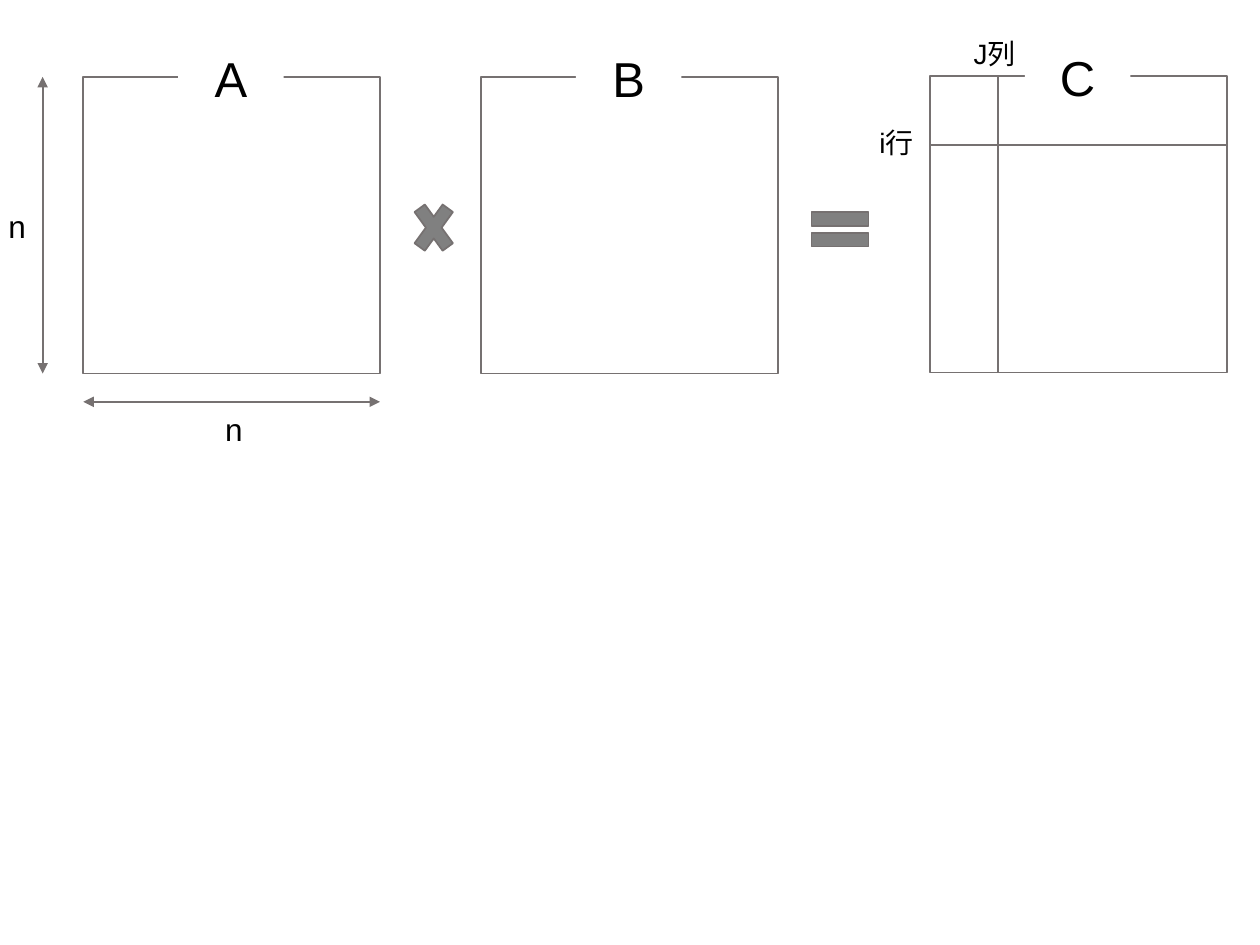
from dataclasses import dataclass

from lxml.etree import SubElement
from pptx import Presentation
from pptx.dml.color import RGBColor
from pptx.enum.shapes import MSO_CONNECTOR, MSO_SHAPE
from pptx.enum.text import MSO_ANCHOR, MSO_AUTO_SIZE, PP_ALIGN
from pptx.oxml.ns import qn
from pptx.util import Cm, Pt

COLOURS = {"outline": "767171", "symbol": "808080", "paper": "FFFFFF", "text": "000000"}
FRAME = {
    "word_wrap": True,
    "auto_size": MSO_AUTO_SIZE.SHAPE_TO_FIT_TEXT,
}
SIDE = 5.98


@dataclass
class Matrix:
    name: str
    left: float
    top: float


@dataclass
class Label:
    text: str
    left: float
    top: float
    height: float
    size: int


@dataclass
class Rule:
    start: tuple[float, float]
    end: tuple[float, float]
    arrows: bool = False


@dataclass
class Operator:
    kind: MSO_SHAPE
    left: float
    top: float
    width: float
    height: float


MATRICES = [Matrix("A", 1.68, 1.55), Matrix("B", 9.7, 1.55), Matrix("C", 18.75, 1.53)]
RULES = [
    Rule((0.86, 1.55), (0.86, 1.55 + SIDE), True),
    Rule((1.68 + SIDE, 8.1), (1.68, 8.1), True),
    Rule((20.12, 1.53), (20.12, 1.53 + SIDE)),
    Rule((18.75 + SIDE, 2.92), (18.75, 2.92)),
]
LABELS = [
    Label("n", 4.29, 8.15, 1.02, 18),
    Label("n", -0.08, 4.04, 1.02, 18),
    Label("J列", 19.38, 0.61, 0.94, 16),
    Label("i行", 17.48, 2.41, 0.94, 16),
]
OPERATORS = [
    Operator(MSO_SHAPE.MATH_MULTIPLY, 8.2, 3.84, 1.09, 1.5),
    Operator(MSO_SHAPE.MATH_EQUAL, 16.15, 4.04, 1.57, 1.17),
]


def colour(name: str) -> RGBColor:
    """Return a named colour."""
    return RGBColor.from_string(COLOURS[name])


def set_outline(item) -> None:
    """Give a shape or connector the thin grey line."""
    item.line.color.rgb = colour("outline")
    item.line.width = Pt(1)


def add_block(page, kind, left, top, width, height, fill=None, outlined=True):
    """Add a flat preset shape."""
    block = page.shapes.add_shape(kind, Cm(left), Cm(top), Cm(width), Cm(height))
    block.shadow.inherit = False
    if fill:
        block.fill.solid()
        block.fill.fore_color.rgb = colour(fill)
    else:
        block.fill.background()
    if outlined:
        set_outline(block)
    else:
        block.line.fill.background()
    return block


def write(box, text: str, size: int, align, anchor) -> None:
    """Write one line of text into a box."""
    frame = box.text_frame
    for key, value in {**FRAME, "vertical_anchor": anchor}.items():
        setattr(frame, key, value)
    para = frame.paragraphs[0]
    para.alignment = align
    span = para.add_run()
    span.text = text
    for key, value in {"name": "Arial", "size": Pt(size)}.items():
        setattr(span.font, key, value)
    span.font.color.rgb = colour("text")


def draw_matrix(page, matrix: Matrix) -> None:
    """Draw a square with its name set into the top edge."""
    add_block(page, MSO_SHAPE.RECTANGLE, matrix.left, matrix.top, SIDE, SIDE)
    title = add_block(page, MSO_SHAPE.RECTANGLE, matrix.left + 1.91, matrix.top - 0.71,
                      2.13, 1.45, "paper", False)
    write(title, matrix.name, 28, PP_ALIGN.CENTER, MSO_ANCHOR.MIDDLE)


def draw_rule(page, rule: Rule) -> None:
    """Draw a straight line, with arrowheads when it is a dimension."""
    points = [Cm(value) for value in (*rule.start, *rule.end)]
    line = page.shapes.add_connector(MSO_CONNECTOR.STRAIGHT, *points)
    set_outline(line)
    if rule.arrows:
        for tag in ("a:headEnd", "a:tailEnd"):
            SubElement(line.line._get_or_add_ln(), qn(tag), type="triangle")
    SubElement(line._element.spPr, qn("a:effectLst"))


def draw_label(page, label: Label) -> None:
    """Draw a small text label."""
    box = page.shapes.add_textbox(Cm(label.left), Cm(label.top), Cm(1.42), Cm(label.height))
    write(box, label.text, label.size, PP_ALIGN.LEFT, MSO_ANCHOR.TOP)


def draw_operator(page, operator: Operator) -> None:
    """Draw a mathematical sign."""
    add_block(page, operator.kind, operator.left, operator.top,
              operator.width, operator.height, "symbol")


def main() -> None:
    """Build the matrix product slide."""
    deck = Presentation()
    deck.slide_width, deck.slide_height = Cm(25.4), Cm(19.05)
    page = deck.slides.add_slide(deck.slide_layouts[6])
    for draw, items in (
        (draw_matrix, MATRICES),
        (draw_rule, RULES),
        (draw_label, LABELS),
        (draw_operator, OPERATORS),
    ):
        for item in items:
            draw(page, item)
    deck.save("out.pptx")


if __name__ == "__main__":
    main()
